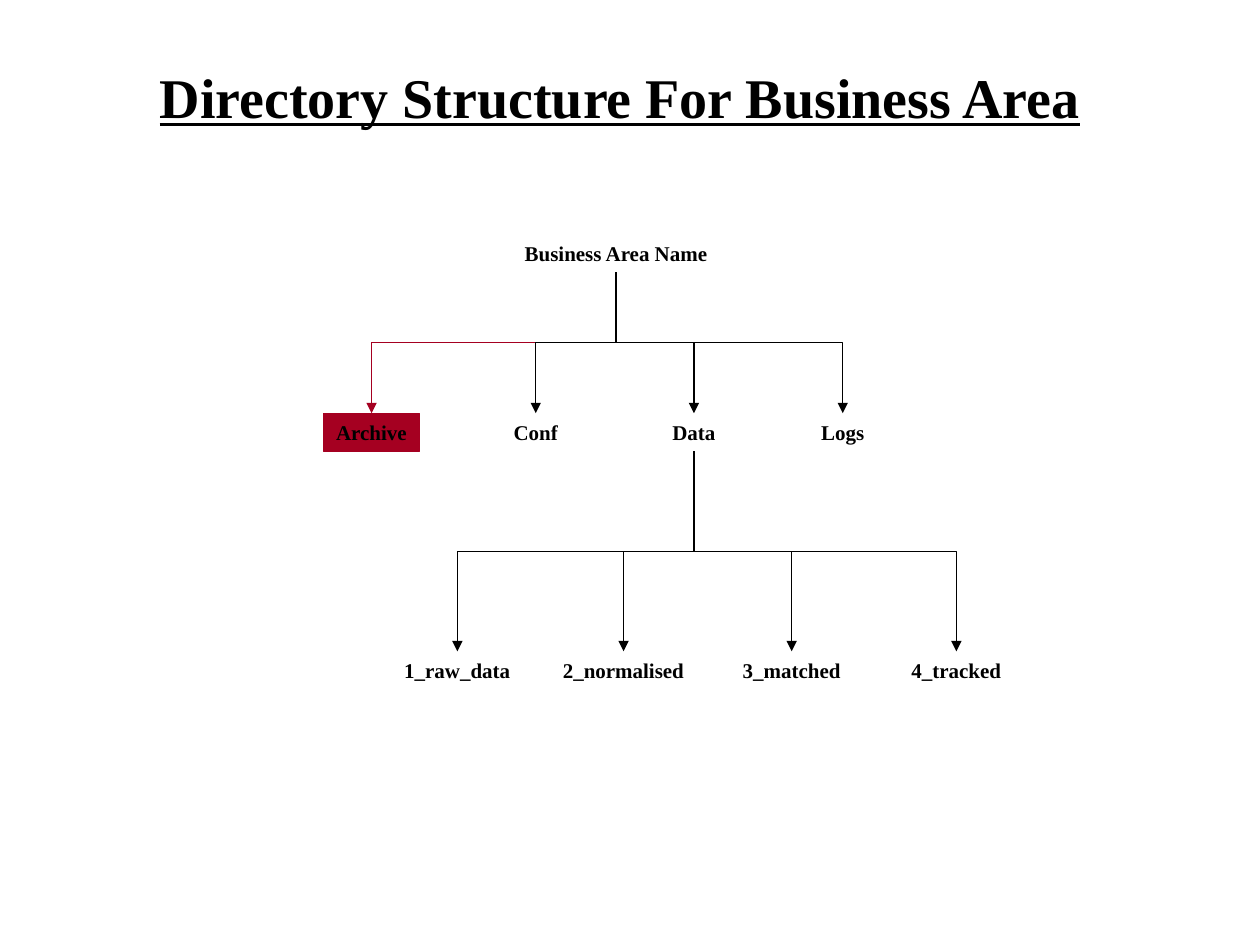
from lxml import etree
from pptx import Presentation
from pptx.dml.color import RGBColor
from pptx.enum.shapes import MSO_CONNECTOR, MSO_SHAPE
from pptx.enum.text import MSO_ANCHOR, MSO_AUTO_SIZE, PP_ALIGN
from pptx.oxml.ns import qn
from pptx.util import Cm, Pt

ELBOW = MSO_CONNECTOR.ELBOW
RECTANGLE = MSO_SHAPE.RECTANGLE
TOP, MIDDLE = MSO_ANCHOR.TOP, MSO_ANCHOR.MIDDLE
CENTER = PP_ALIGN.CENTER
GROW = MSO_AUTO_SIZE.SHAPE_TO_FIT_TEXT

BLACK = RGBColor(0x00, 0x00, 0x00)
RED = RGBColor(0xA5, 0x00, 0x21)
FONT = "Times New Roman"

# Content: (name, centre x, width) in cm, with the top of each level
TITLE = "Directory Structure For Business Area"
LEVELS = [
    (4.72, [("Business Area Name", 12.42, 4.22)]),
    (8.33, [("Archive", 7.49, 1.93), ("Conf", 10.8, 1.4),
            ("Data", 13.99, 1.37), ("Logs", 16.99, 1.37)]),
    (13.13, [("1_raw_data", 9.22, 2.64), ("2_normalised", 12.57, 2.95),
             ("3_matched", 15.96, 2.49), ("4_tracked", 19.28, 2.31)]),
]
BRANCHES = {
    "Business Area Name": ["Archive", "Conf", "Data", "Logs"],
    "Data": ["1_raw_data", "2_normalised", "3_matched", "4_tracked"],
}
HIGHLIGHTED = "Archive"
BOX_HEIGHT = 0.77
BOTTOM_SITE, TOP_SITE = 2, 0


def write_text(shape, text, size=12, underline=False, anchor=TOP):
    frame = shape.text_frame
    frame.word_wrap = False
    frame.auto_size = GROW
    frame.vertical_anchor = anchor
    paragraph = frame.paragraphs[0]
    paragraph.alignment = CENTER
    run = paragraph.add_run()
    run.text = text
    run.font.name = FONT
    run.font.size = Pt(size)
    run.font.bold = True
    run.font.underline = underline
    run.font.color.rgb = BLACK


def add_directory(slide, name, center, top, width):
    area = Cm(center - width / 2), Cm(top), Cm(width), Cm(BOX_HEIGHT)
    if name == HIGHLIGHTED:
        shape = slide.shapes.add_shape(RECTANGLE, *area)
        shape.shadow.inherit = False
        shape.fill.solid()
        shape.fill.fore_color.rgb = RED
        shape.line.color.rgb = RED
        shape.line.width = Pt(0.75)
    else:
        shape = slide.shapes.add_textbox(*area)
    write_text(shape, name)
    return shape


def add_branch(slide, parent, child, color):
    start_x, start_y = parent.left + parent.width // 2, parent.top + parent.height
    end_x, end_y = child.left + child.width // 2, child.top
    connector = slide.shapes.add_connector(ELBOW, start_x, start_y, end_x, end_y)
    connector.begin_connect(parent, BOTTOM_SITE)
    connector.end_connect(child, TOP_SITE)

    # Turn the elbow by a quarter so that it leaves and arrives vertically
    length, spread = end_y - start_y, abs(end_x - start_x)
    connector.left = (start_x + end_x - length) // 2
    connector.top = (start_y + end_y - spread) // 2
    connector.width, connector.height = length, spread
    to_right = end_x > start_x
    properties = connector._element.spPr
    transform = properties.find(qn("a:xfrm"))
    transform.set("rot", "16200000" if to_right else "5400000")
    transform.set("flipH", "1" if to_right else "0")
    transform.set("flipV", "0")

    connector.line.color.rgb = color
    connector.line.width = Pt(0.75)
    line = properties.find(qn("a:ln"))
    etree.SubElement(line, qn("a:tailEnd"), type="triangle")
    etree.SubElement(properties, qn("a:effectLst"))


def main():
    presentation = Presentation()
    presentation.slide_width, presentation.slide_height = Cm(25.4), Cm(19.05)
    slide = presentation.slides.add_slide(presentation.slide_layouts[5])

    # Title
    title = slide.shapes.title
    title.left, title.top, title.width, title.height = Cm(2.9), Cm(1.12), Cm(19.2), Cm(1.63)
    write_text(title, TITLE, size=32, underline=True, anchor=MIDDLE)

    # Directories
    directories = {
        name: add_directory(slide, name, center, top, width)
        for top, row in LEVELS
        for name, center, width in row
    }

    # Branches
    for parent, children in BRANCHES.items():
        for child in children:
            color = RED if child == HIGHLIGHTED else BLACK
            add_branch(slide, directories[parent], directories[child], color)

    presentation.save("out.pptx")


if __name__ == "__main__":
    main()
